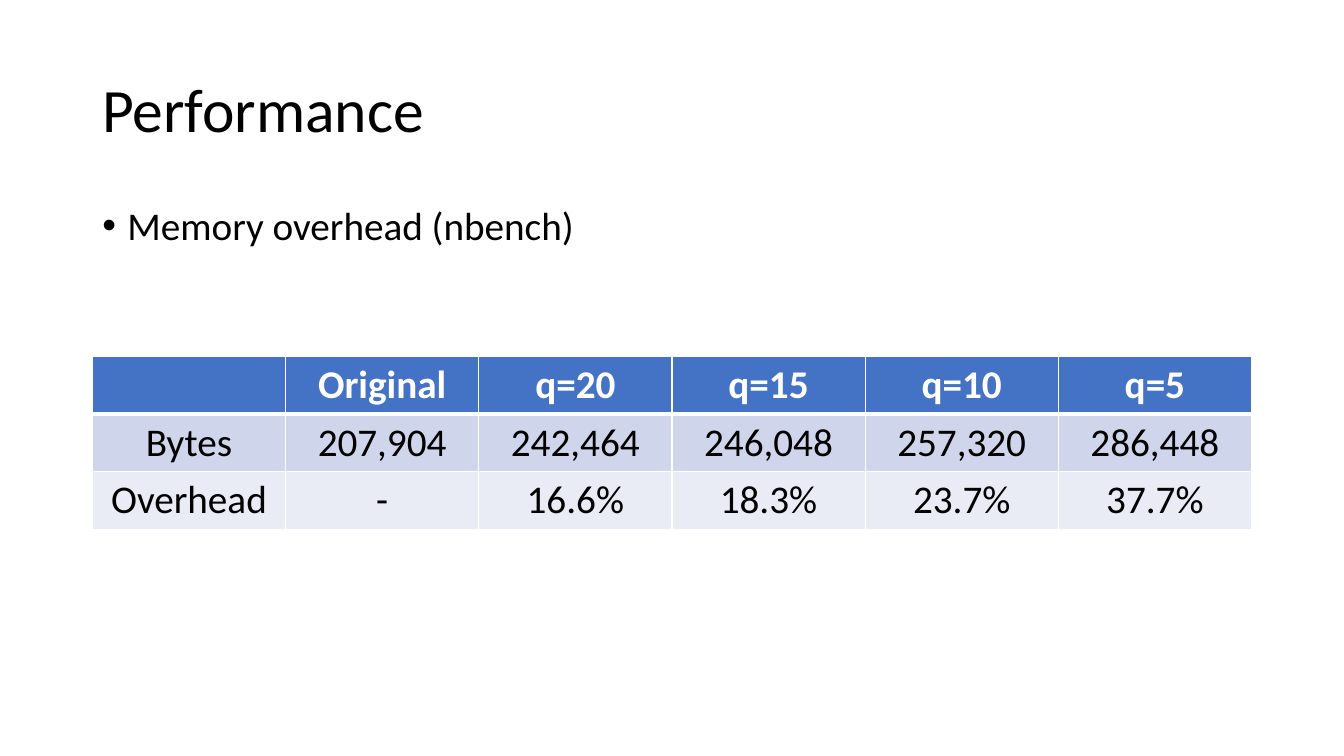
from lxml import etree
from pptx import Presentation
from pptx.dml.color import RGBColor
from pptx.enum.text import MSO_ANCHOR, PP_ALIGN
from pptx.oxml.ns import qn
from pptx.util import Pt

PX = 9525
MIDDLE, TOP = MSO_ANCHOR.MIDDLE, MSO_ANCHOR.TOP
LEFT, CENTER = PP_ALIGN.LEFT, PP_ALIGN.CENTER
COLORS = {
    "text": "000000",
    "white": "FFFFFF",
    "header": "4472C4",
    "odd": "CFD5EA",
    "even": "E9EBF5",
}
ROWS = [
    ["", "Original", "q=20", "q=15", "q=10", "q=5"],
    ["Bytes", "207,904", "242,464", "246,048", "257,320", "286,448"],
    ["Overhead", "-", "16.6%", "18.3%", "23.7%", "37.7%"],
]


class SlideBuilder:
    """Holds the text style and the slide, and adds elements in px."""

    font = "Calibri"

    def __init__(self, slide):
        self.slide = slide

    def add_text(self, p, text, size, color="text", bold=False, align=LEFT):
        p.alignment = align
        r = p.add_run()
        r.text = text
        style = {"name": self.font, "size": Pt(size), "bold": bold}
        for key, value in style.items():
            setattr(r.font, key, value)
        r.font.color.rgb = RGBColor.from_string(COLORS[color])

    def text(self, x, y, w, h, text, size, anchor=TOP, bullet=False):
        sp = self.slide.shapes.add_textbox(x * PX, y * PX, w * PX, h * PX)
        tf = sp.text_frame
        tf.word_wrap = True
        tf.vertical_anchor = anchor
        p = tf.paragraphs[0]
        p.line_spacing = 0.9
        if bullet:
            pPr = p._p.get_or_add_pPr()
            pPr.set("marL", str(24 * PX))
            pPr.set("indent", str(-24 * PX))
            etree.SubElement(pPr, qn("a:buFont")).set("typeface", "Arial")
            etree.SubElement(pPr, qn("a:buChar")).set("char", "•")
        self.add_text(p, text, size)

    def borders(self, cell, widths):
        tcPr = cell._tc.get_or_add_tcPr()
        for i, (side, width) in enumerate(widths.items()):
            ln = etree.Element(qn(f"a:ln{side}"), w=str(Pt(width)))
            fill = etree.SubElement(ln, qn("a:solidFill"))
            etree.SubElement(fill, qn("a:srgbClr")).set("val", COLORS["white"])
            tcPr.insert(i, ln)

    def table(self, x, y, col_w, row_h, rows, size):
        n_rows, n_cols = len(rows), len(rows[0])
        table = self.slide.shapes.add_table(
            n_rows, n_cols, x * PX, y * PX,
            n_cols * col_w * PX, n_rows * row_h * PX).table
        for col in table.columns:
            col.width = col_w * PX
        for i, values in enumerate(rows):
            table.rows[i].height = row_h * PX
            header = i == 0
            band = "header" if header else "odd" if i % 2 else "even"
            widths = {"L": 1, "R": 1, "T": 3 if i == 1 else 1, "B": 3 if header else 1}
            for j, value in enumerate(values):
                cell = table.cell(i, j)
                cell.fill.solid()
                cell.fill.fore_color.rgb = RGBColor.from_string(COLORS[band])
                self.borders(cell, widths)
                if value:
                    self.add_text(cell.text_frame.paragraphs[0], value, size,
                                  "white" if header else "text", header, CENTER)


def main():
    prs = Presentation()
    prs.slide_width, prs.slide_height = 1280 * PX, 720 * PX
    s = SlideBuilder(prs.slides.add_slide(prs.slide_layouts[6]))
    s.text(88, 38, 1104, 139, "Performance", 44, anchor=MIDDLE)
    s.table(88, 339, 184, 55, ROWS, 28)
    s.text(88, 192, 1104, 457, "Memory overhead (nbench)", 28, bullet=True)
    prs.save("out.pptx")


if __name__ == "__main__":
    main()
